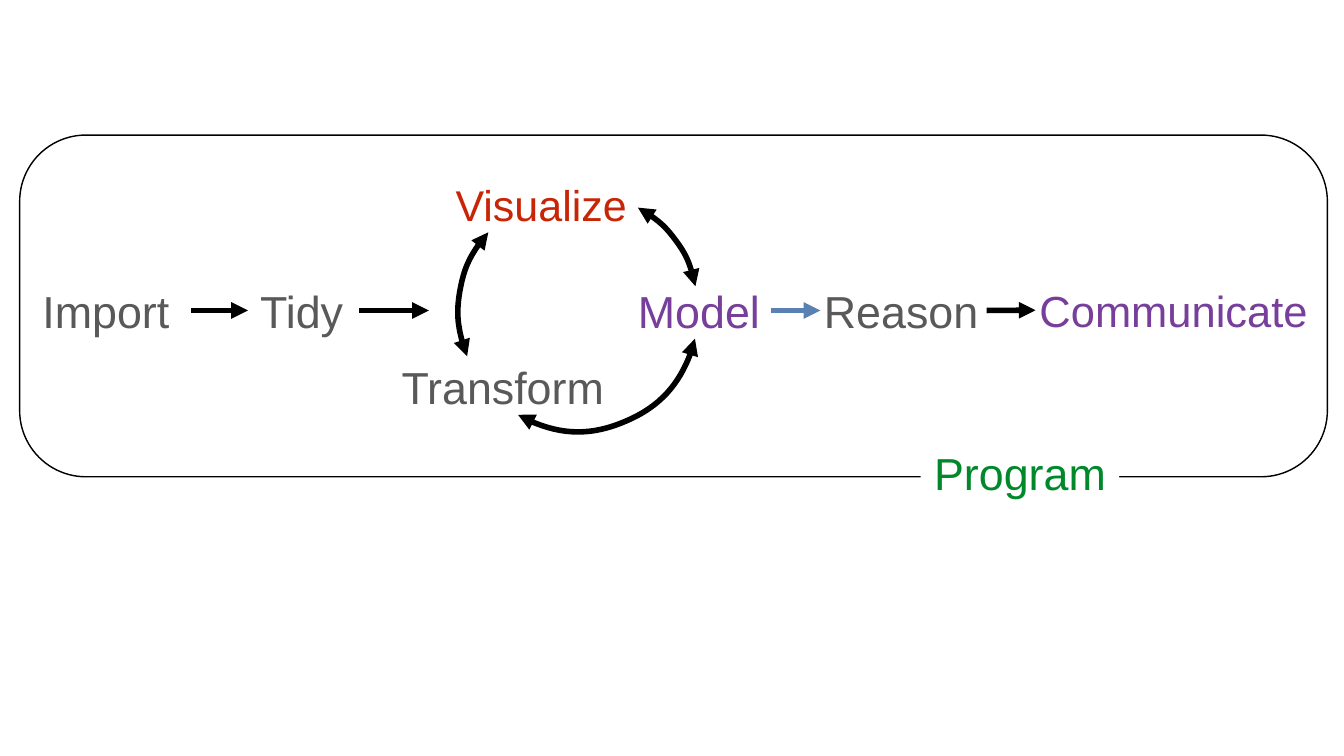
from dataclasses import dataclass
from typing import NamedTuple

from lxml.etree import SubElement
from pptx import Presentation
from pptx.dml.color import RGBColor
from pptx.enum.shapes import MSO_CONNECTOR, MSO_SHAPE
from pptx.enum.text import MSO_ANCHOR, PP_ALIGN
from pptx.oxml.ns import qn
from pptx.util import Inches, Pt

# Grid: square cells of one inch
COLUMNS, ROWS = 26.67, 15
STEP_ROW, STEP_HEIGHT = 5.54, 1.23
STEP_MIDDLE = 6.16
INSET = 0.06


@dataclass(frozen=True)
class Theme:
    font: str = "Arial"
    size: float = 64
    gray: str = "595959"
    red: str = "C82506"
    purple: str = "773F9B"
    green: str = "00882B"
    blue: str = "5982B2"
    black: str = "000000"
    white: str = "FFFFFF"
    frame_line: float = 2
    arrow_line: float = 8


THEME = Theme()


class Step(NamedTuple):
    text: str
    column: float
    width: float
    color: str = THEME.gray
    row: float = STEP_ROW
    size: float = THEME.size


class Arrow(NamedTuple):
    start: float
    end: float
    color: str = THEME.black
    target: str = ""


STEPS = [
    Step("Import", 0.33, 3.54),
    Step("Tidy", 4.97, 2.03),
    Step("Visualize", 8.97, 3.54, THEME.red, row=3.43, size=61.4),
    Step("Transform", 7.8, 4.35, row=7.05),
    Step("Model", 12.1, 3.54, THEME.purple),
    Step("Reason", 16.11, 3.54),
    Step("Communicate", 20.55, 5.48, THEME.purple, size=62.1),
]
ARROWS = [
    Arrow(3.8, 4.92),
    Arrow(7.13, 8.51),
    Arrow(15.29, 16.28, THEME.blue),
    Arrow(19.58, 20.56, target="Communicate"),
]
# Each arc: a start point, then three Bézier points per curve
ARCS = [
    # Transform to Model
    [(10.28, 8.23), (10.93, 8.61), (11.71, 8.66), (12.41, 8.36),
     (13.1, 8.07), (13.62, 7.46), (13.79, 6.72)],
    # Visualize to Model
    [(12.66, 4.12), (12.96, 4.28), (13.21, 4.5), (13.41, 4.77),
     (13.61, 5.04), (13.74, 5.35), (13.8, 5.68)],
    # Transform to Visualize
    [(9.27, 7.07), (9.1, 6.65), (9.05, 6.19), (9.13, 5.75),
     (9.21, 5.32), (9.4, 4.93), (9.69, 4.61)],
]


def write_label(shape, text: str, color: str, size: float) -> None:
    frame = shape.text_frame
    frame.text = text
    frame.word_wrap = False
    frame.vertical_anchor = MSO_ANCHOR.MIDDLE
    frame.margin_left = frame.margin_right = Inches(INSET)
    frame.margin_top = frame.margin_bottom = Inches(INSET)
    para = frame.paragraphs[0]
    para.alignment = PP_ALIGN.CENTER
    span = para.runs[0]
    span.font.name = THEME.font
    span.font.size = Pt(size)
    span.font.color.rgb = RGBColor.from_string(color)


def add_step(page, step: Step):
    box = page.shapes.add_textbox(*map(Inches, (step.column, step.row, step.width, STEP_HEIGHT)))
    write_label(box, step.text, step.color, step.size)
    return box


def style_arrow(shape, color: str, ends: tuple[str, ...]) -> None:
    shape.line.color.rgb = RGBColor.from_string(color)
    shape.line.width = Pt(THEME.arrow_line)
    outline = shape.line._get_or_add_ln()
    for end in ends:
        SubElement(outline, qn(f"a:{end}"), type="triangle")
    SubElement(shape._element.spPr, qn("a:effectLst"))


def add_arrow(page, arrow: Arrow, boxes: dict) -> None:
    line = page.shapes.add_connector(
        MSO_CONNECTOR.STRAIGHT,
        *map(Inches, (arrow.start, STEP_MIDDLE, arrow.end, STEP_MIDDLE)))
    if arrow.target:
        line.end_connect(boxes[arrow.target], 1)
    style_arrow(line, arrow.color, ("tailEnd",))


def add_arc(page, points: list[tuple[float, float]]) -> None:
    # The builder rounds to whole units, so the points go in as EMU
    start, *others = [(Inches(x), Inches(y)) for x, y in points]
    builder = page.shapes.build_freeform(*start)
    builder.add_line_segments(others, close=False)
    arc = builder.convert_to_shape()
    # Turn every three straight segments into one cubic curve
    outline = arc._element.find(".//" + qn("a:path"))
    segments = outline.findall(qn("a:lnTo"))
    for first in range(0, len(segments), 3):
        curve = SubElement(outline, qn("a:cubicBezTo"))
        for segment in segments[first:first + 3]:
            curve.append(segment[0])
            outline.remove(segment)
    arc.fill.background()
    style_arrow(arc, THEME.black, ("headEnd", "tailEnd"))


def add_program_frame(page) -> None:
    frame = page.shapes.add_shape(
        MSO_SHAPE.ROUNDED_RECTANGLE, *map(Inches, (0.39, 2.68, 25.95, 6.78)))
    frame.adjustments[0] = 0.194
    frame.shadow.inherit = False
    frame.fill.background()
    frame.line.color.rgb = RGBColor.from_string(THEME.black)
    frame.line.width = Pt(THEME.frame_line)

    # The label interrupts the frame's lower edge
    label = page.shapes.add_shape(
        MSO_SHAPE.RECTANGLE, *map(Inches, (18.27, 8.7, 3.94, 1.37)))
    label.shadow.inherit = False
    label.fill.solid()
    label.fill.fore_color.rgb = RGBColor.from_string(THEME.white)
    label.line.fill.background()
    write_label(label, "Program", THEME.green, THEME.size)


def main() -> None:
    deck = Presentation()
    deck.slide_width, deck.slide_height = Inches(COLUMNS), Inches(ROWS)
    page = deck.slides.add_slide(deck.slide_layouts[6])

    add_program_frame(page)
    boxes = {step.text: add_step(page, step) for step in STEPS}
    for arrow in ARROWS:
        add_arrow(page, arrow, boxes)
    for points in ARCS:
        add_arc(page, points)

    deck.save("out.pptx")


if __name__ == "__main__":
    main()
